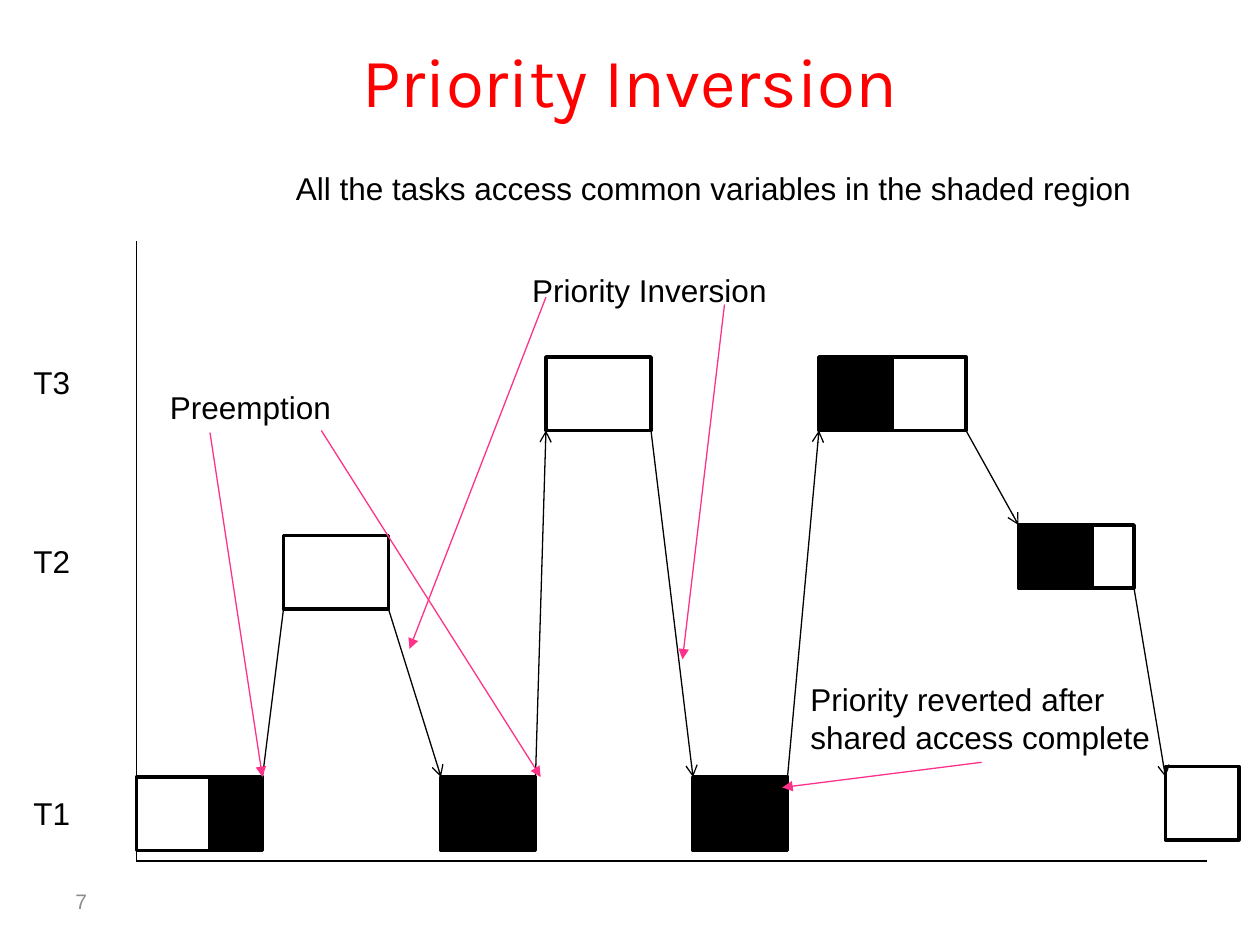
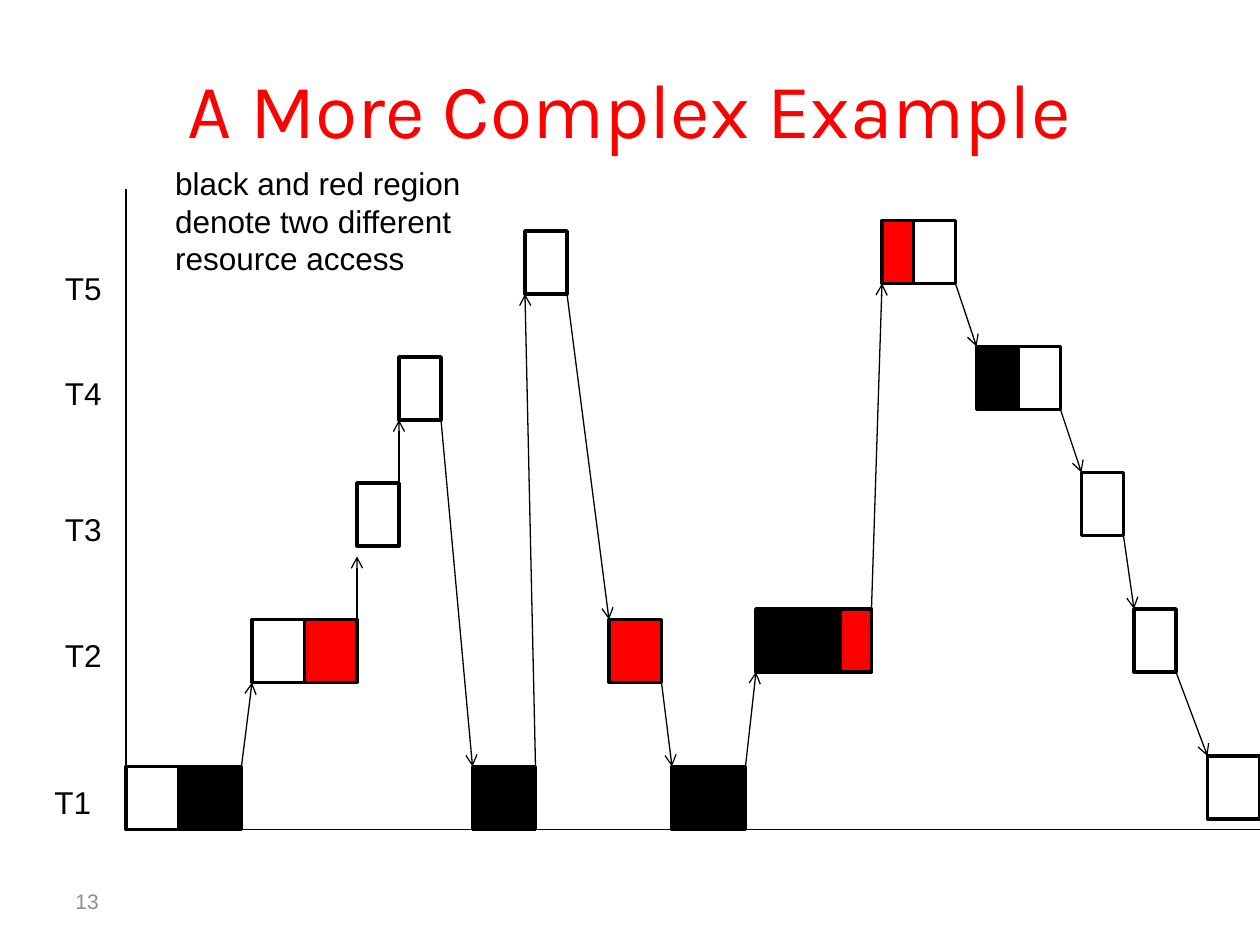
from dataclasses import dataclass
from itertools import pairwise

from lxml.etree import SubElement
from pptx import Presentation
from pptx.dml.color import RGBColor
from pptx.enum.shapes import MSO_CONNECTOR, MSO_SHAPE
from pptx.enum.text import MSO_ANCHOR, PP_ALIGN
from pptx.oxml.ns import qn
from pptx.slide import Slide
from pptx.util import Inches, Pt

BLACK = RGBColor(0x00, 0x00, 0x00)
WHITE = RGBColor(0xFF, 0xFF, 0xFF)
RED = RGBColor(0xFF, 0x00, 0x00)
PINK = RGBColor(0xFE, 0x32, 0x88)
GREY = RGBColor(0x8C, 0x8C, 0x8C)

BODY_FONT = "Arial"
TITLE_FONT = "Karla"

COLUMNS, ROWS = 120, 90
CELL = Inches(10) // COLUMNS
LABEL_HEIGHT = 4.8

Point = tuple[float, float]


@dataclass(frozen=True)
class Label:
    text: str
    left: float
    top: float
    width: float
    height: float = LABEL_HEIGHT
    wrap: bool = True
    size: float = 18
    font: str = BODY_FONT
    color: RGBColor = BLACK
    align: PP_ALIGN = PP_ALIGN.LEFT
    anchor: MSO_ANCHOR = MSO_ANCHOR.TOP


@dataclass(frozen=True)
class Burst:
    left: int
    top: int
    height: int
    segments: tuple[tuple[int, RGBColor], ...]
    arrival_shift: int = 0
    arrowhead: str | None = "arrow"

    @property
    def right(self) -> int:
        return self.left + sum(width for width, _ in self.segments)

    @property
    def bottom(self) -> int:
        return self.top + self.height


@dataclass(frozen=True)
class Pointer:
    start: Point
    end: Point


@dataclass(frozen=True)
class Schedule:
    title: Label
    number: str
    origin: Point
    axis_top: float
    axis_right: float
    bursts: tuple[Burst, ...]
    labels: tuple[Label, ...]
    pointers: tuple[Pointer, ...] = ()


def cells(count: float) -> int:
    return round(count * CELL)


def heading(text: str, top: float, height: float, size: float) -> Label:
    return Label(text, 6, top, COLUMNS - 12, height, size=size, font=TITLE_FONT,
                 color=RED, align=PP_ALIGN.CENTER, anchor=MSO_ANCHOR.MIDDLE)


def task_labels(places: tuple[Point, ...], width: float, wrap: bool) -> tuple[Label, ...]:
    return tuple(Label(f"T{task}", left, top, width, wrap=wrap)
                 for task, (left, top) in enumerate(places, start=1))


def draw_label(slide: Slide, label: Label) -> None:
    box = slide.shapes.add_textbox(cells(label.left), cells(label.top),
                                   cells(label.width), cells(label.height))
    frame = box.text_frame
    frame.word_wrap = label.wrap
    frame.vertical_anchor = label.anchor
    paragraph = frame.paragraphs[0]
    paragraph.text = label.text
    paragraph.alignment = label.align
    paragraph.font.name = label.font
    paragraph.font.size = Pt(label.size)
    paragraph.font.color.rgb = label.color


def draw_line(slide: Slide, start: Point, end: Point,
              color: RGBColor = BLACK, arrowhead: str | None = None) -> None:
    connector = slide.shapes.add_connector(
        MSO_CONNECTOR.STRAIGHT, *(cells(value) for value in (*start, *end)))
    connector.line.color.rgb = color
    connector.line.width = Pt(0.75)
    if arrowhead:
        SubElement(connector.line._get_or_add_ln(), qn("a:tailEnd"), type=arrowhead)
    SubElement(connector._element.spPr, qn("a:effectLst"))


def draw_burst(slide: Slide, burst: Burst) -> None:
    left = burst.left
    for width, color in burst.segments:
        segment = slide.shapes.add_shape(MSO_SHAPE.RECTANGLE, cells(left), cells(burst.top),
                                         cells(width), cells(burst.height))
        segment.shadow.inherit = False
        segment.fill.solid()
        segment.fill.fore_color.rgb = color
        segment.line.color.rgb = BLACK
        segment.line.width = Pt(2)
        left += width


def draw_switch(slide: Slide, before: Burst, after: Burst) -> None:
    rising = after.top < before.top
    departure = before.top if rising else before.bottom
    arrival = (after.bottom if rising else after.top) + after.arrival_shift
    draw_line(slide, (before.right, departure), (after.left, arrival),
              arrowhead=after.arrowhead)


def draw_schedule(slide: Slide, schedule: Schedule) -> None:
    draw_label(slide, schedule.title)
    draw_label(slide, Label(schedule.number, 6, 83.4, 28, size=12, color=GREY,
                            anchor=MSO_ANCHOR.MIDDLE))
    left, base = schedule.origin
    draw_line(slide, (left, schedule.axis_top), schedule.origin)
    draw_line(slide, schedule.origin, (schedule.axis_right, base))
    for burst in schedule.bursts:
        draw_burst(slide, burst)
    for before, after in pairwise(schedule.bursts):
        draw_switch(slide, before, after)
    for label in schedule.labels:
        draw_label(slide, label)
    for pointer in schedule.pointers:
        draw_line(slide, pointer.start, pointer.end, PINK, "triangle")


INVERSION = Schedule(
    title=heading("Priority Inversion", 3.2, 8.8, 39.6),
    number="7",
    origin=(13, 82),
    axis_top=23,
    axis_right=115,
    bursts=(
        Burst(13, 74, 7, ((7, WHITE), (5, BLACK))),
        Burst(27, 51, 7, ((10, WHITE),), arrowhead=None),
        Burst(42, 74, 7, ((9, BLACK),)),
        Burst(52, 34, 7, ((10, WHITE),)),
        Burst(66, 74, 7, ((9, BLACK),)),
        Burst(78, 34, 7, ((7, BLACK), (7, WHITE))),
        Burst(97, 50, 6, ((7, BLACK), (4, WHITE))),
        Burst(111, 73, 7, ((7, WHITE),), arrival_shift=1),
    ),
    labels=(
        *task_labels(((2, 75), (2, 51), (2, 34)), 10, True),
        Label("All the tasks access common variables in the shaded region", 27, 15.5, 85),
        Label("Preemption", 15, 36.4, 17.9, wrap=False),
        Label("Priority Inversion", 49.5, 25.2, 25, wrap=False),
        Label("Priority reverted after shared access complete", 76, 64.2, 35, 8.5),
    ),
    pointers=(
        Pointer((20, 41.2), (25, 74)),
        Pointer((30.6, 41), (51.5, 74)),
        Pointer((52, 28.3), (39, 61.8)),
        Pointer((69, 29), (65, 62.8)),
        Pointer((93.5, 72.6), (74.5, 75)),
    ),
)

COMPLEX_EXAMPLE = Schedule(
    title=heading("A More Complex Example", 3.6, 13.4, 44),
    number="13",
    origin=(12, 79),
    axis_top=18,
    axis_right=COLUMNS,
    bursts=(
        Burst(12, 73, 6, ((5, WHITE), (6, BLACK))),
        Burst(24, 59, 6, ((5, WHITE), (5, RED))),
        Burst(34, 46, 6, ((4, WHITE),), arrival_shift=1),
        Burst(38, 34, 6, ((4, WHITE),)),
        Burst(45, 73, 6, ((6, BLACK),)),
        Burst(50, 22, 6, ((4, WHITE),)),
        Burst(58, 59, 6, ((5, RED),)),
        Burst(64, 73, 6, ((7, BLACK),)),
        Burst(72, 58, 6, ((8, BLACK), (3, RED))),
        Burst(84, 21, 6, ((3, RED), (4, WHITE))),
        Burst(93, 33, 6, ((4, BLACK), (4, WHITE))),
        Burst(103, 45, 6, ((4, WHITE),)),
        Burst(108, 58, 6, ((4, WHITE),)),
        Burst(115, 72, 6, ((5, WHITE),)),
    ),
    labels=(
        *task_labels(((4, 74), (5, 60), (5, 48), (5, 35), (5, 25)), 6, False),
        Label("black and red region denote two different resource access",
              15.5, 15, 31.4, 12.1),
    ),
)


def main() -> None:
    presentation = Presentation()
    presentation.slide_width = COLUMNS * CELL
    presentation.slide_height = ROWS * CELL
    blank_layout = presentation.slide_layouts[6]
    for schedule in (INVERSION, COMPLEX_EXAMPLE):
        draw_schedule(presentation.slides.add_slide(blank_layout), schedule)
    presentation.save("out.pptx")


if __name__ == "__main__":
    main()
